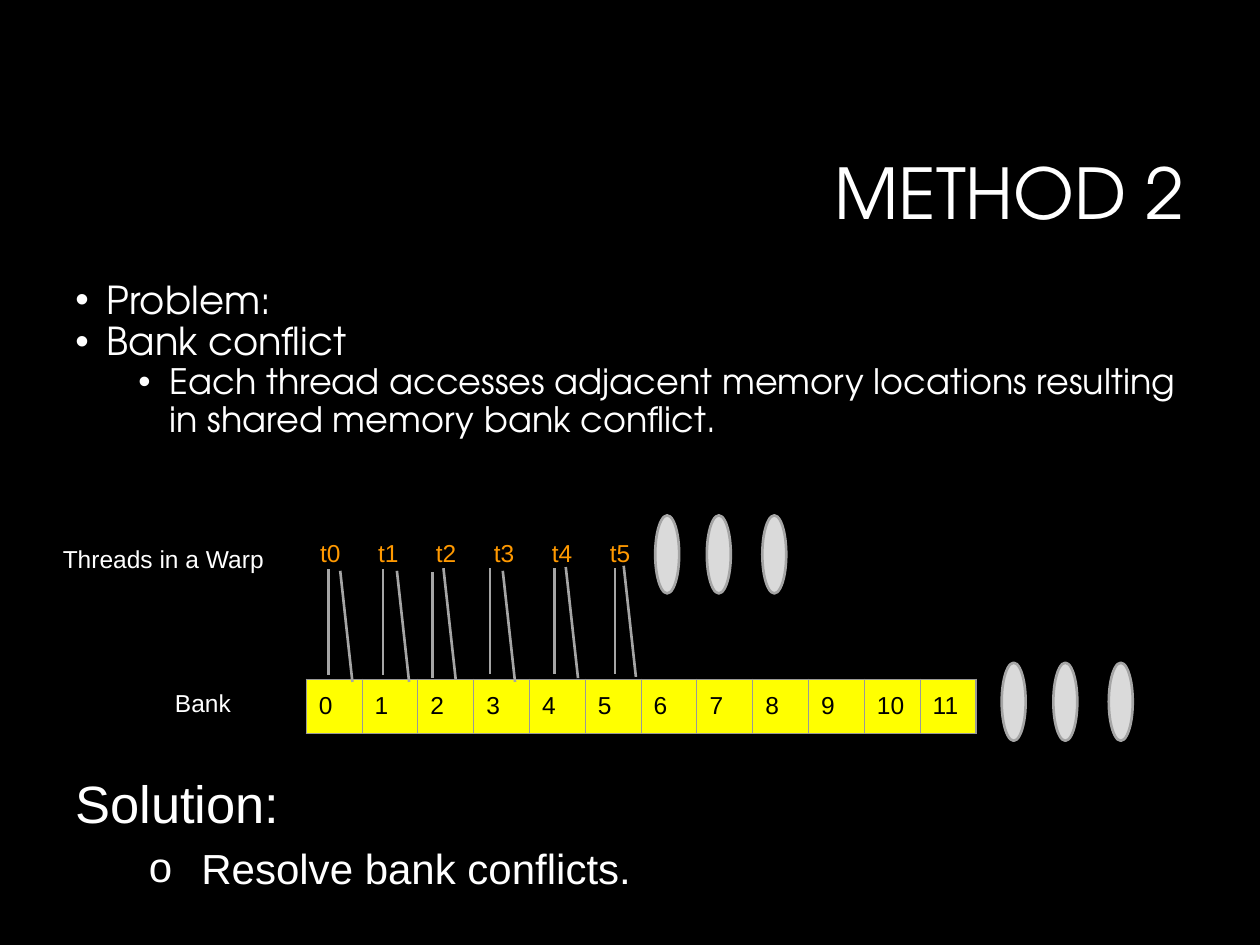
from dataclasses import dataclass

from lxml import etree
from pptx import Presentation
from pptx.dml.color import RGBColor
from pptx.enum.shapes import MSO_CONNECTOR, MSO_SHAPE
from pptx.enum.text import MSO_ANCHOR, MSO_AUTO_SIZE, PP_ALIGN
from pptx.oxml.ns import qn
from pptx.util import Pt

LINE = MSO_CONNECTOR.STRAIGHT
ELLIPSE = MSO_SHAPE.OVAL
LEFT, RIGHT = PP_ALIGN.LEFT, PP_ALIGN.RIGHT
TOP, BOTTOM = MSO_ANCHOR.TOP, MSO_ANCHOR.BOTTOM

HEADING_FONT, PLAIN_FONT = "TeX Gyre Adventor", "Arial"
WHITE, BLACK, GRAY = "FFFFFF", "000000", "A5A5A5"
ELLIPSE_FILL, BANK_FILL, BANK_BORDER = "DADADA", "FFFF00", "999999"
THREAD_COLOR = "FF9900"
INSET = 7.2

ELLIPSIS_OFFSETS = (0, 29.5, 61.2)
ELLIPSE_WIDTH, ELLIPSE_HEIGHT = 13.7, 44.6
STRAIGHT_DROP = 60.5
SLANT_SHIFT, SLANT_DROP = 7, 63.5


@dataclass
class Box:
    left: float
    top: float
    width: float
    height: float

    def lengths(self) -> tuple:
        return Pt(self.left), Pt(self.top), Pt(self.width), Pt(self.height)


@dataclass
class Access:
    """Upper ends of the straight and slanted lines below one thread."""
    straight_x: float
    straight_y: float
    slant_x: float
    slant_y: float


ACCESSES = (
    Access(187.9, 325.4, 194.4, 326.2),
    Access(218.9, 325.4, 226.8, 326.2),
    Access(247, 326.9, 253.4, 324.7),
    Access(280.1, 324.7, 287.3, 326.2),
    Access(316.8, 324.7, 323.3, 324),
    Access(351.4, 324.7, 356.4, 323.3),
)


def rgb(color: str) -> RGBColor:
    return RGBColor.from_string(color)


def write_text(paragraph, text: str, *, size: float, font: str = PLAIN_FONT,
               color: str = WHITE, align=LEFT, level: int = 0, spacing: float = 1,
               before: float = 0, bullet: str = "", margin: float = 0,
               hanging: float = 0) -> None:
    run = paragraph.add_run()
    run.text = text
    run.font.size = Pt(size)
    run.font.name = font
    run.font.color.rgb = rgb(color)
    paragraph.alignment = align
    paragraph.level = level
    paragraph.line_spacing = spacing
    paragraph.space_before = Pt(before)
    if bullet:
        properties = paragraph._p.get_or_add_pPr()
        properties.set("marL", str(Pt(margin)))
        properties.set("indent", str(-Pt(hanging)))
        etree.SubElement(properties, qn("a:buFont")).set("typeface", PLAIN_FONT)
        etree.SubElement(properties, qn("a:buChar")).set("char", bullet)


def add_text_box(slide, box: Box, *lines: tuple[str, dict], anchor=TOP,
                 grow: bool = False) -> None:
    frame = slide.shapes.add_textbox(*box.lengths()).text_frame
    frame.word_wrap = True
    frame.auto_size = MSO_AUTO_SIZE.SHAPE_TO_FIT_TEXT if grow else MSO_AUTO_SIZE.NONE
    frame.vertical_anchor = anchor
    frame.margin_left = frame.margin_right = Pt(INSET)
    frame.margin_top = frame.margin_bottom = Pt(INSET)
    for index, (text, style) in enumerate(lines):
        paragraph = frame.add_paragraph() if index else frame.paragraphs[0]
        write_text(paragraph, text, **style)


def add_cell_borders(cell, color: str) -> None:
    properties = cell._tc.get_or_add_tcPr()
    for side in ("a:lnL", "a:lnR", "a:lnT", "a:lnB"):
        line = etree.SubElement(properties, qn(side), w=str(Pt(0.75)))
        fill = etree.SubElement(line, qn("a:solidFill"))
        etree.SubElement(fill, qn("a:srgbClr"), val=color)


def add_row_table(slide, box: Box, labels: list[str], *, color: str, border: str,
                  fill: str = "") -> None:
    """Draw a table of one row with equal columns."""
    table = slide.shapes.add_table(1, len(labels), *box.lengths()).table
    table.first_row = table.horz_banding = False
    for column, label in enumerate(labels):
        table.columns[column].width = Pt(box.width / len(labels))
        cell = table.cell(0, column)
        cell.margin_left = cell.margin_right = Pt(INSET)
        cell.margin_top = cell.margin_bottom = Pt(INSET)
        write_text(cell.text_frame.paragraphs[0], label, size=14, color=color)
        add_cell_borders(cell, border)
        if fill:
            cell.fill.solid()
            cell.fill.fore_color.rgb = rgb(fill)
        else:
            cell.fill.background()


def add_ellipsis(slide, left: float, top: float) -> None:
    """Draw three ellipses that stand for the rest of a row."""
    for offset in ELLIPSIS_OFFSETS:
        box = Box(left + offset, top, ELLIPSE_WIDTH, ELLIPSE_HEIGHT)
        shape = slide.shapes.add_shape(ELLIPSE, *box.lengths())
        shape.shadow.inherit = False
        shape.fill.solid()
        shape.fill.fore_color.rgb = rgb(ELLIPSE_FILL)
        shape.line.color.rgb = rgb(GRAY)
        shape.line.width = Pt(1.5)


def add_line(slide, x: float, y: float, shift: float, drop: float) -> None:
    connector = slide.shapes.add_connector(
        LINE, Pt(x), Pt(y), Pt(x + shift), Pt(y + drop))
    connector.line.color.rgb = rgb(GRAY)
    connector.line.width = Pt(1.5)
    etree.SubElement(connector._element.spPr, qn("a:effectLst"))


def main() -> None:
    presentation = Presentation()
    presentation.slide_width, presentation.slide_height = Pt(720), Pt(540)
    slide = presentation.slides.add_slide(presentation.slide_layouts[6])
    slide.background.fill.solid()
    slide.background.fill.fore_color.rgb = rgb(BLACK)

    heading = dict(font=HEADING_FONT, spacing=0.9)
    point = dict(heading, size=22, bullet="•", margin=18, hanging=18)
    subpoint = dict(point, size=20, level=1, margin=54)
    label = dict(size=14)

    add_text_box(slide, Box(36, 21.6, 648, 119.5),
                 ("METHOD 2", dict(heading, size=40, align=RIGHT)), anchor=BOTTOM)
    add_text_box(slide, Box(36, 153.4, 648, 363.6),
                 ("Problem:", point),
                 ("Bank conflict", point),
                 ("Each thread accesses adjacent memory locations resulting "
                  "in shared memory bank conflict.", subpoint))
    add_text_box(slide, Box(36, 433.4, 612, 85),
                 ("Solution:", dict(size=30, before=6)),
                 ("Resolve bank conflicts.",
                  dict(size=24, level=1, before=4.8, bullet="o", margin=72, hanging=30)),
                 grow=True)

    add_row_table(slide, Box(175, 388.1, 383, 30.2), [str(bank) for bank in range(12)],
                  color=BLACK, border=BANK_BORDER, fill=BANK_FILL)
    add_row_table(slide, Box(175.7, 301.7, 198.7, 30.2),
                  [f"t{thread}" for thread in range(len(ACCESSES))],
                  color=THREAD_COLOR, border=BLACK)
    add_text_box(slide, Box(92.9, 385.9, 51.8, 31.7), ("Bank", label), grow=True)
    add_text_box(slide, Box(28.8, 303.8, 136.8, 31.7), ("Threads in a Warp", label), grow=True)

    for access in ACCESSES:
        add_line(slide, access.straight_x, access.straight_y, 0, STRAIGHT_DROP)
        add_line(slide, access.slant_x, access.slant_y, SLANT_SHIFT, SLANT_DROP)
    add_ellipsis(slide, 374.4, 294.5)
    add_ellipsis(slide, 572.4, 378.7)

    presentation.save("out.pptx")


if __name__ == "__main__":
    main()
